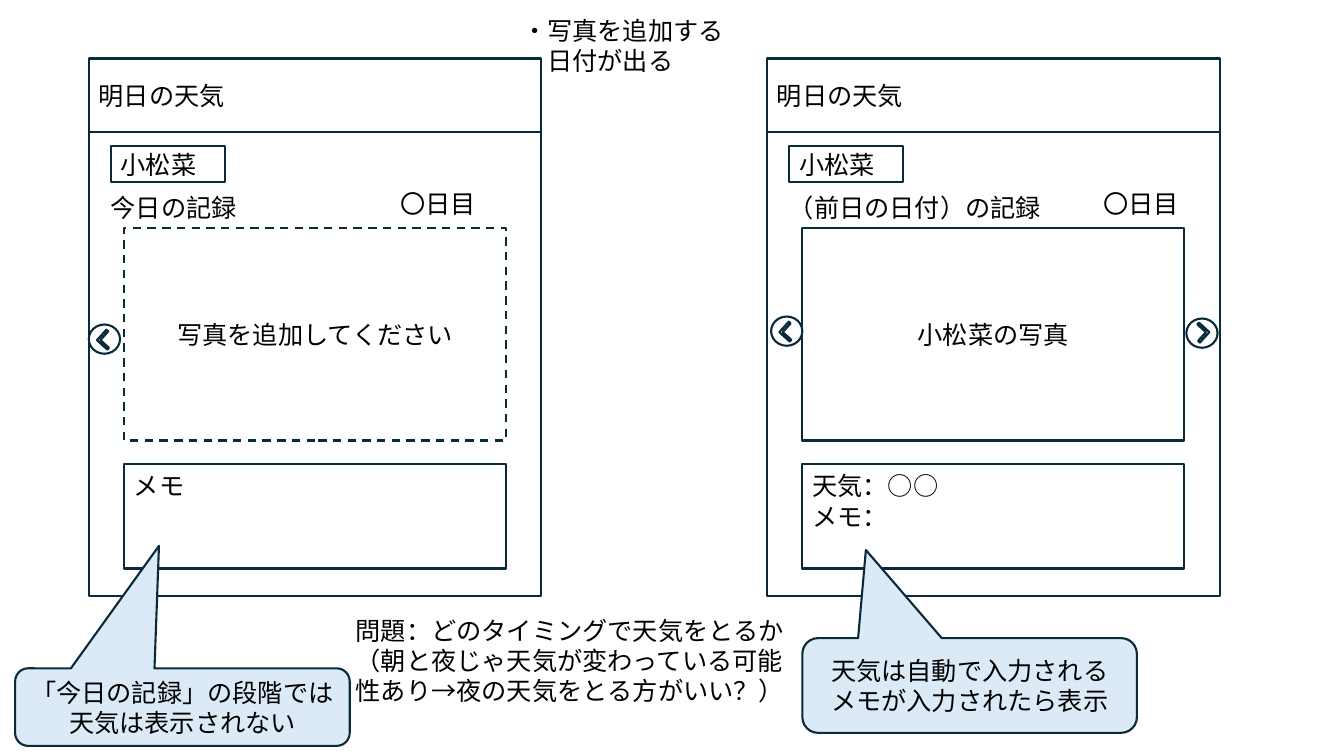
from dataclasses import dataclass

from lxml import etree
from pptx import Presentation
from pptx.dml.color import RGBColor
from pptx.enum.dml import MSO_LINE
from pptx.enum.shapes import MSO_SHAPE
from pptx.enum.text import MSO_ANCHOR, PP_ALIGN
from pptx.oxml.ns import qn
from pptx.util import Pt

RECTANGLE = MSO_SHAPE.RECTANGLE
CIRCLE = MSO_SHAPE.FLOWCHART_CONNECTOR
CORNER = MSO_SHAPE.CORNER
CALLOUT = MSO_SHAPE.ROUNDED_RECTANGULAR_CALLOUT
DASH = MSO_LINE.DASH
LEFT, CENTER = PP_ALIGN.LEFT, PP_ALIGN.CENTER
TOP, MIDDLE = MSO_ANCHOR.TOP, MSO_ANCHOR.MIDDLE


@dataclass(frozen=True)
class Theme:
    """Colours, font and sizes of the slide."""
    ink: RGBColor = RGBColor(0x09, 0x2A, 0x39)
    text: RGBColor = RGBColor(0, 0, 0)
    paper: RGBColor = RGBColor(0xFF, 0xFF, 0xFF)
    note: RGBColor = RGBColor(0xDC, 0xEA, 0xF7)
    font: str = "Noto Sans CJK JP"
    size: float = 18
    spacing: float = 21.6
    line: float = 1.5


THEME = Theme()


def write(shape, text, align=LEFT, anchor=MIDDLE):
    """Fill a shape with text in the theme's font."""
    frame = shape.text_frame
    frame.text = text
    frame.word_wrap = True
    frame.vertical_anchor = anchor
    for paragraph in frame.paragraphs:
        paragraph.alignment = align
        paragraph.line_spacing = Pt(THEME.spacing)
        for run in paragraph.runs:
            run.font.name = THEME.font
            run.font.size = Pt(THEME.size)
            run.font.color.rgb = THEME.text
            properties = run._r.get_or_add_rPr()
            etree.SubElement(properties, qn("a:ea"), typeface=THEME.font)


def add_label(shapes, box, text):
    """Add a plain text box."""
    label = shapes.add_textbox(*map(Pt, box))
    write(label, text, anchor=TOP)


def add_outline(shapes, kind, box, fill=THEME.paper):
    """Add a filled, outlined preset shape."""
    shape = shapes.add_shape(kind, *map(Pt, box))
    shape.shadow.inherit = False
    shape.fill.solid()
    shape.fill.fore_color.rgb = fill
    shape.line.color.rgb = THEME.ink
    shape.line.width = Pt(THEME.line)
    return shape


def add_screen(slide, box, record, photo, memo, day_offset, dashed=False):
    """Draw one app screen inside the box."""
    left, top, width, height = box
    header = 52.6
    shapes = slide.shapes.add_group_shape().shapes
    add_outline(shapes, RECTANGLE, (left, top + header, width, height - header))
    title = add_outline(shapes, RECTANGLE, (left, top, width, header))
    write(title, "明日の天気")
    crop = add_outline(shapes, RECTANGLE, (left + 15.8, top + 62.6, 81.4, 25.9))
    write(crop, "小松菜")
    add_label(shapes, (left + 8.6, top + 92.2, 213.8, 28.8), record)

    inset = 25.2
    inner = width - 2 * inset
    picture = add_outline(shapes, RECTANGLE, (left + inset, top + 121, inner, 151.9))
    write(picture, photo, CENTER)
    if dashed:
        picture.line.dash_style = DASH
    memo_box = add_outline(shapes, RECTANGLE, (left + inset, top + 289.4, inner, 74.9))
    write(memo_box, memo, anchor=TOP)
    memo_box.text_frame.margin_top = Pt(5)
    add_label(shapes, (left + day_offset, top + 89.5, 132.5, 28.8), "〇日目")


def add_page_button(slide, box, forward=False):
    """Draw a round page button with a chevron."""
    left, top, width, height = box
    side, across, down = 10.1, 7.9, 5.8
    if forward:
        across, down = width - side - across, height - side - down
    shapes = slide.shapes.add_group_shape().shapes
    add_outline(shapes, CIRCLE, box)
    chevron = add_outline(shapes, CORNER, (left + across, top + down, side, side))
    chevron.rotation = 222.2 if forward else 42.2
    chevron.adjustments[0] = 0.17
    chevron.adjustments[1] = 0.18


def add_callout(slide, box, text, tip):
    """Add a rounded callout whose tip is relative to the box."""
    callout = add_outline(slide.shapes, CALLOUT, box, THEME.note)
    callout.adjustments[0], callout.adjustments[1] = tip
    write(callout, text, CENTER)


def main():
    """Build and save the slide."""
    presentation = Presentation()
    presentation.slide_width, presentation.slide_height = Pt(960), Pt(540)
    slide = presentation.slides.add_slide(presentation.slide_layouts[6])

    add_label(slide.shapes, (365.8, 7.2, 270.7, 72.7), "・写真を追加する\n・日付が出る")
    add_screen(slide, (63.4, 41.8, 323.3, 383.8), "今日の記録",
               "写真を追加してください", "メモ", 215.3, dashed=True)
    add_screen(slide, (547.9, 41.8, 323.3, 383.8), "（前日の日付）の記録",
               "小松菜の写真", "天気：○○\nメモ：", 233.3)

    add_page_button(slide, (63.4, 231.8, 22.3, 20.9))
    add_page_button(slide, (550.8, 226.1, 22.3, 20.9))
    add_page_button(slide, (847.4, 227.5, 22.3, 20.9), forward=True)

    add_callout(slide, (573.1, 455.8, 239, 67.7),
                "天気は自動で入力される\nメモが入力されたら表示", (-0.31, -1.43))
    add_label(slide.shapes, (247, 435.6, 330.5, 72.7),
              "問題：どのタイミングで天気をとるか\n"
              "（朝と夜じゃ天気が変わっている可能性あり→夜の天気をとる方がいい？）")
    add_callout(slide, (10.8, 477.4, 239, 55.4),
                "「今日の記録」の段階では天気は表示されない", (-0.07, -2.08))
    presentation.save("out.pptx")


if __name__ == "__main__":
    main()
